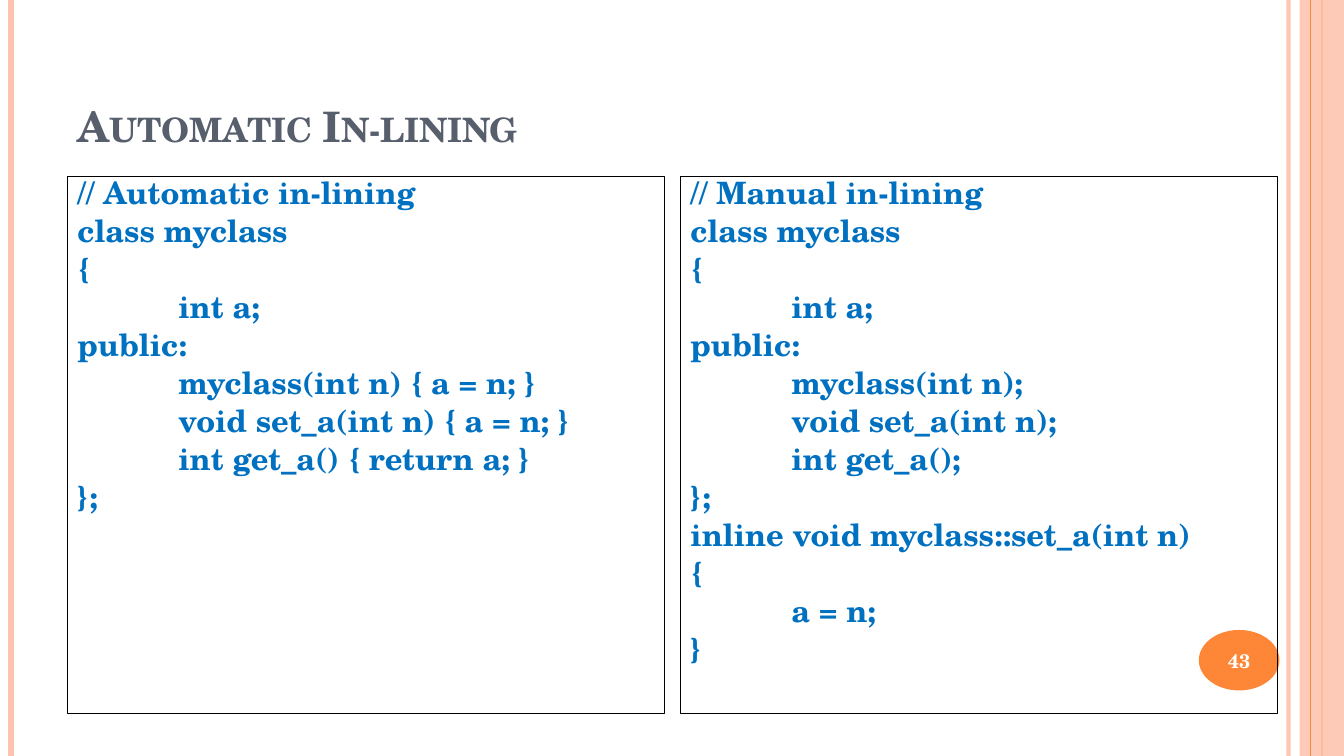
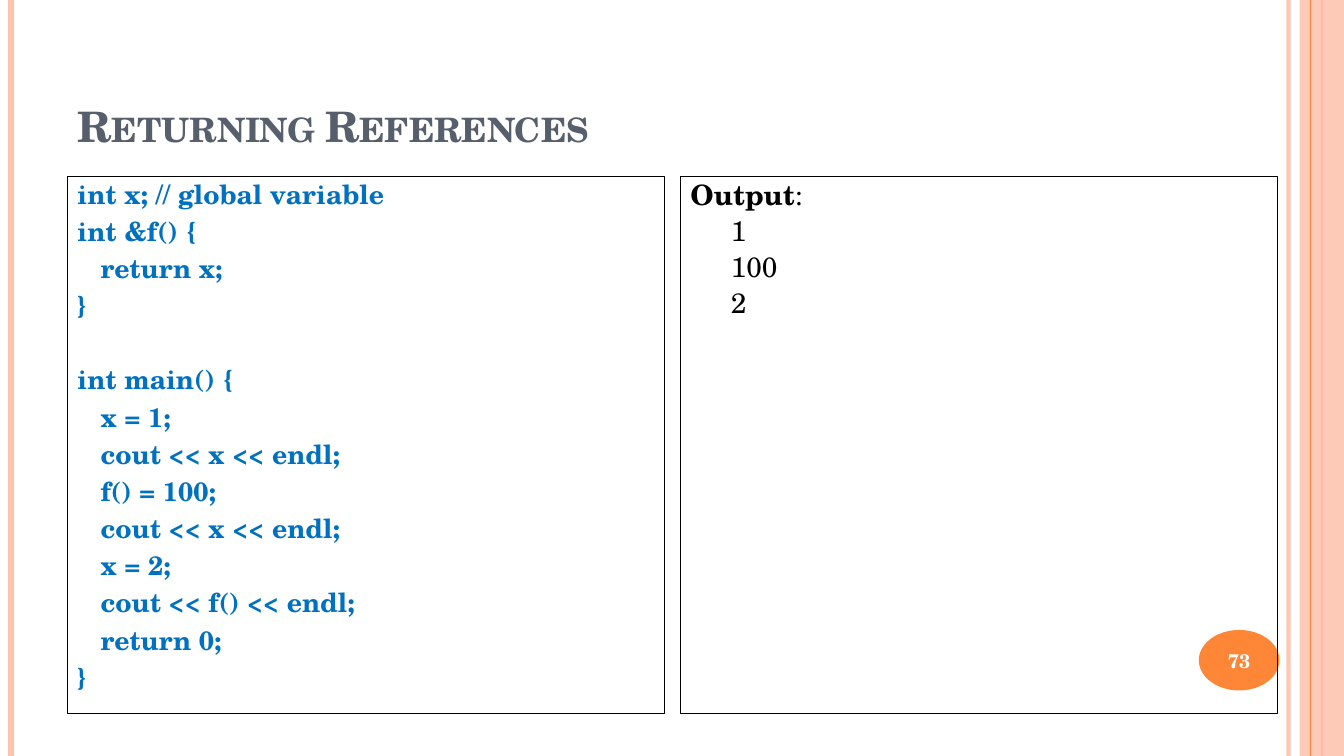
from dataclasses import dataclass

from lxml import etree
from pptx import Presentation
from pptx.dml.color import RGBColor
from pptx.enum import shapes, text
from pptx.oxml import ns
from pptx.util import Inches, Pt

FONT = "TeX Gyre Schola"
PEACH, ORANGE, SLATE = "FEC3AE", "FE8637", "575F6D"
BLUE, BLACK, WHITE = "0070C0", "000000", "FFFFFF"
WIDTH, HEIGHT = 13.33, 7.5
LEFT_BOX = (0.67, 1.75, 5.92, 5.33)
RIGHT_BOX = (6.75, 1.75, 5.92, 5.33)


@dataclass
class PanelStyle:
    """Holds the paragraph settings of one text panel."""

    size: float
    color: str
    spacing: float
    indent: float
    bold: bool = True
    align: int = text.PP_ALIGN.JUSTIFY
    before: float = 6
    nested_before: float = 6


MANUAL_STYLE = PanelStyle(22, BLUE, 0.8, 1, align=text.PP_ALIGN.LEFT)
LISTING_STYLE = PanelStyle(19, BLUE, 0.9, 0.23)
OUTPUT_STYLE = PanelStyle(20, BLACK, 0.9, 0.4, bold=False, nested_before=4)

CLASS_HEAD = [(0, "class myclass"), (0, "{"), (1, "int a;"), (0, "public:")]
AUTOMATIC = [
    (0, "// Automatic in-lining"), *CLASS_HEAD,
    (1, "myclass(int n) { a = n; }"),
    (1, "void set_a(int n) { a = n; }"),
    (1, "int get_a() { return a; }"),
    (0, "};"),
]
MANUAL = [
    (0, "// Manual in-lining"), *CLASS_HEAD,
    (1, "myclass(int n);"),
    (1, "void set_a(int n);"),
    (1, "int get_a();"),
    (0, "};"),
    (0, "inline void myclass::set_a(int n)"),
    (0, "{"), (1, "a = n;"), (0, "}"),
]
FUNCTION = [
    (0, "int x; // global variable"),
    (0, "int &f() {"), (1, "return x;"), (0, "}"),
]
MAIN = [
    (0, "int main() {"),
    (1, "x = 1;"), (1, "cout << x << endl;"),
    (1, "f() = 100;"), (1, "cout << x << endl;"),
    (1, "x = 2;"), (1, "cout << f() << endl;"),
    (1, "return 0;"), (0, "}"),
]
OUTPUT = [(0, [("Output", True), (":", False)]), (1, "1"), (1, "100"), (1, "2")]


def rgb(color):
    """Turn a hex string into a colour."""
    return RGBColor.from_string(color)


def set_opacity(shape, percent):
    """Make the only explicit colour of a shape partly transparent."""
    color = shape._element.spPr.find(".//" + ns.qn("a:srgbClr"))
    etree.SubElement(color, ns.qn("a:alpha")).set("val", str(percent * 1000))


def add_run(paragraph, words, size, color, bold):
    """Add one formatted run to a paragraph."""
    run = paragraph.add_run()
    run.text = words
    run.font.name, run.font.size, run.font.bold = FONT, Pt(size), bold
    run.font.color.rgb = rgb(color)
    return run


def add_rule(slide, x, color, width, opacity=100):
    """Draw a vertical line over the full slide height."""
    line = slide.shapes.add_connector(
        shapes.MSO_CONNECTOR.STRAIGHT, Inches(x), 0, Inches(x), Inches(HEIGHT))
    line.line.color.rgb = rgb(color)
    line.line.width = Pt(width)
    if opacity < 100:
        set_opacity(line, opacity)
    etree.SubElement(line._element.spPr, ns.qn("a:effectLst"))


def add_box(slide, kind, box, fill=None):
    """Draw a preset shape without outline or shadow."""
    shape = slide.shapes.add_shape(kind, *map(Inches, box))
    shape.shadow.inherit = False
    shape.line.fill.background()
    if fill:
        shape.fill.solid()
        shape.fill.fore_color.rgb = rgb(fill)
    else:
        shape.fill.background()
    return shape


def add_frame(slide, number):
    """Draw the side bands and the numbered disc."""
    add_rule(slide, 12.78, PEACH, 3, 93)
    add_rule(slide, 0.11, PEACH, 4.5)
    add_rule(slide, 13.11, ORANGE, 1.5)
    band = add_box(slide, shapes.MSO_SHAPE.RECTANGLE, (12.89, 0, 0.44, HEIGHT), PEACH)
    set_opacity(band, 87)
    add_rule(slide, 13, ORANGE, 0.75)
    disc = add_box(slide, shapes.MSO_SHAPE.OVAL, (11.89, 6.25, 0.8, 0.6), ORANGE)
    frame = disc.text_frame
    frame.margin_left = frame.margin_right = 0
    frame.vertical_anchor = text.MSO_ANCHOR.MIDDLE
    paragraph = frame.paragraphs[0]
    paragraph.alignment = text.PP_ALIGN.CENTER
    add_run(paragraph, str(number), 14, WHITE, True)


def set_title(slide, words):
    """Place and format the title placeholder."""
    title = slide.shapes.title
    title.left, title.top, title.width, title.height = map(
        Inches, (0.67, 0.3, 11.22, 1.25))
    frame = title.text_frame
    frame.auto_size = text.MSO_AUTO_SIZE.NONE
    frame.vertical_anchor = text.MSO_ANCHOR.BOTTOM
    paragraph = frame.paragraphs[0]
    paragraph.alignment = text.PP_ALIGN.LEFT
    run = add_run(paragraph, words, 30, SLATE, True)
    run._r.get_or_add_rPr().set("cap", "small")


def add_panel(slide, box, blocks, style):
    """Draw an outlined panel with blocks of lines one line apart."""
    panel = add_box(slide, shapes.MSO_SHAPE.RECTANGLE, box)
    panel.line.color.rgb = rgb(BLACK)
    panel.line.width = Pt(0.75)
    frame = panel.text_frame
    frame.word_wrap = True
    frame.vertical_anchor = text.MSO_ANCHOR.TOP
    blank_line = style.size * 1.2 * style.spacing + style.before
    paragraph = None
    for block_index, block in enumerate(blocks):
        for line_index, (depth, content) in enumerate(block):
            paragraph = frame.add_paragraph() if paragraph else frame.paragraphs[0]
            paragraph.alignment = style.align
            paragraph.line_spacing = style.spacing
            before = style.nested_before if depth else style.before
            if block_index and not line_index:
                before += blank_line
            paragraph.space_before = Pt(before)
            properties = paragraph._p.get_or_add_pPr()
            properties.set("marL", str(Inches(depth * style.indent)))
            runs = [(content, style.bold)] if isinstance(content, str) else content
            for words, bold in runs:
                add_run(paragraph, words, style.size, style.color, bold)


def add_comparison(presentation, title, number, left, right):
    """Build a slide with two panels side by side."""
    slide = presentation.slides.add_slide(presentation.slide_layouts[5])
    set_title(slide, title)
    add_frame(slide, number)
    add_panel(slide, LEFT_BOX, *left)
    add_panel(slide, RIGHT_BOX, *right)


def main():
    """Build and save the presentation."""
    presentation = Presentation()
    presentation.slide_width = Inches(WIDTH)
    presentation.slide_height = Inches(HEIGHT)
    add_comparison(presentation, "Automatic In-lining", 43,
                   ([AUTOMATIC], MANUAL_STYLE), ([MANUAL], MANUAL_STYLE))
    add_comparison(presentation, "Returning References", 73,
                   ([FUNCTION, MAIN], LISTING_STYLE), ([OUTPUT], OUTPUT_STYLE))
    presentation.save("out.pptx")


if __name__ == "__main__":
    main()
